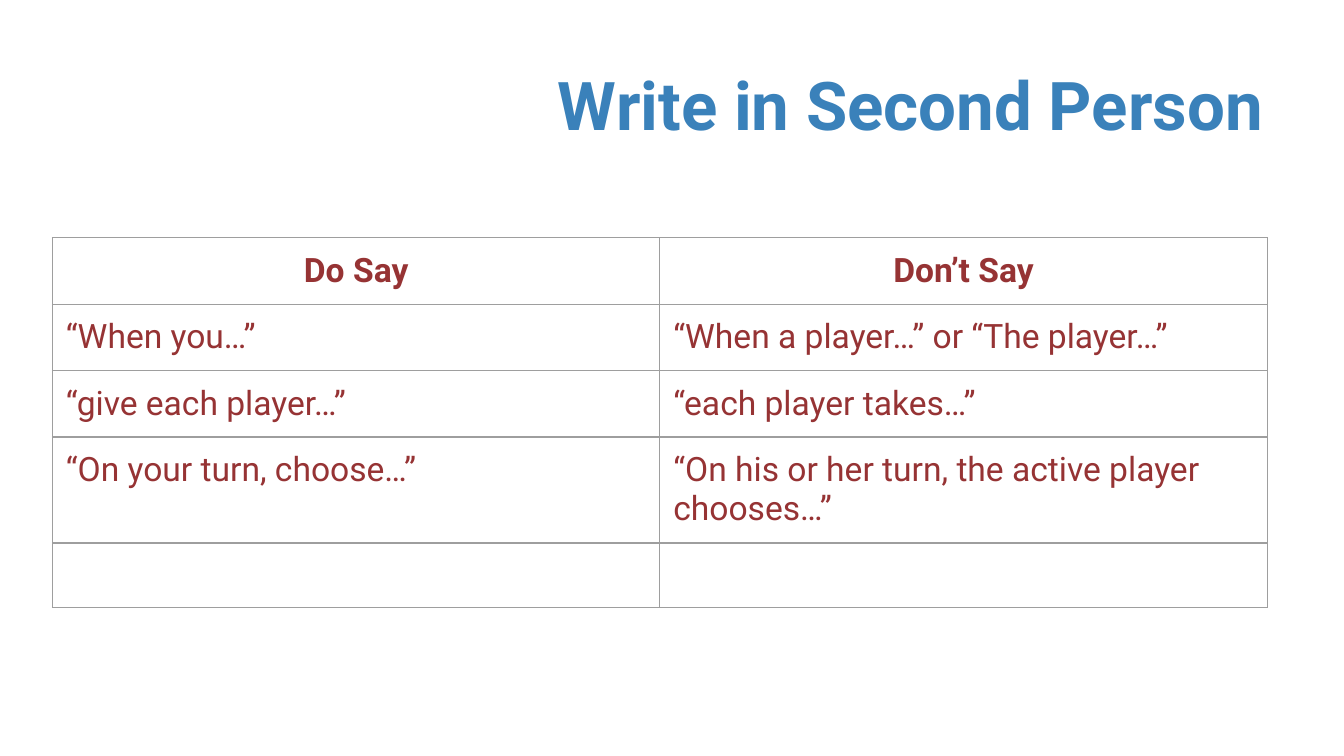
from pptx import Presentation
from pptx.dml.color import RGBColor
from pptx.enum.text import MSO_ANCHOR, PP_ALIGN
from pptx.oxml import parse_xml
from pptx.oxml.ns import nsdecls
from pptx.util import Inches, Pt

ROWS = [
    ("Do Say", "Don’t Say"),
    ("“When you…”", "“When a player…” or “The player…”"),
    ("“give each player…”", "“each player takes…”"),
    ("“On your turn, choose…”", "“On his or her turn, the active player chooses…”"),
    ("", ""),
]
ROW_HEIGHTS = [0.49, 0.49, 0.49, 0.79, 0.48]
COLUMN_WIDTH = 4.52


def style_text(holder, paragraph, size, color, bold, alignment):
    """Set the margins of a cell or text frame and the look of its paragraph."""
    holder.margin_left = holder.margin_right = Inches(0.1)
    holder.margin_top = holder.margin_bottom = Inches(0.1)
    paragraph.alignment = alignment
    font = paragraph.font
    font.name = "Roboto"
    font.size = Pt(size)
    font.bold = bold
    font.color.rgb = RGBColor.from_string(color)


def add_borders(cell, color, width):
    properties = cell._tc.get_or_add_tcPr()
    for index, side in enumerate(("lnL", "lnR", "lnT", "lnB")):
        border = parse_xml(f'<a:{side} {nsdecls("a")} w="{Pt(width)}"><a:solidFill>'
                           f'<a:srgbClr val="{color}"/></a:solidFill></a:{side}>')
        properties.insert(index, border)


presentation = Presentation()
presentation.slide_width = Inches(10)
presentation.slide_height = Inches(10) * 9 // 16
slide = presentation.slides.add_slide(presentation.slide_layouts[5])

title = slide.shapes.title
title.left, title.top = Inches(0.5), Inches(0.23)
title.width, title.height = Inches(9), Inches(0.94)
title_frame = title.text_frame
title_frame.text = "Write in Second Person"
title_frame.vertical_anchor = MSO_ANCHOR.BOTTOM
style_text(title_frame, title_frame.paragraphs[0], 36, "3A81BA", True, PP_ALIGN.RIGHT)

table = slide.shapes.add_table(
    len(ROWS), 2, Inches(0.39), Inches(1.77),
    Inches(2 * COLUMN_WIDTH), Inches(sum(ROW_HEIGHTS))).table
table.horz_banding = False
table.first_row = False
for column in table.columns:
    column.width = Inches(COLUMN_WIDTH)

for row_index, (texts, height) in enumerate(zip(ROWS, ROW_HEIGHTS)):
    table.rows[row_index].height = Inches(height)
    is_header = row_index == 0
    alignment = PP_ALIGN.CENTER if is_header else PP_ALIGN.LEFT
    for column_index, text in enumerate(texts):
        cell = table.cell(row_index, column_index)
        cell.fill.background()
        add_borders(cell, "9E9E9E", 0.75)
        if text:
            cell.text = text
            style_text(cell, cell.text_frame.paragraphs[0], 18, "963334",
                       is_header, alignment)

presentation.save("out.pptx")
